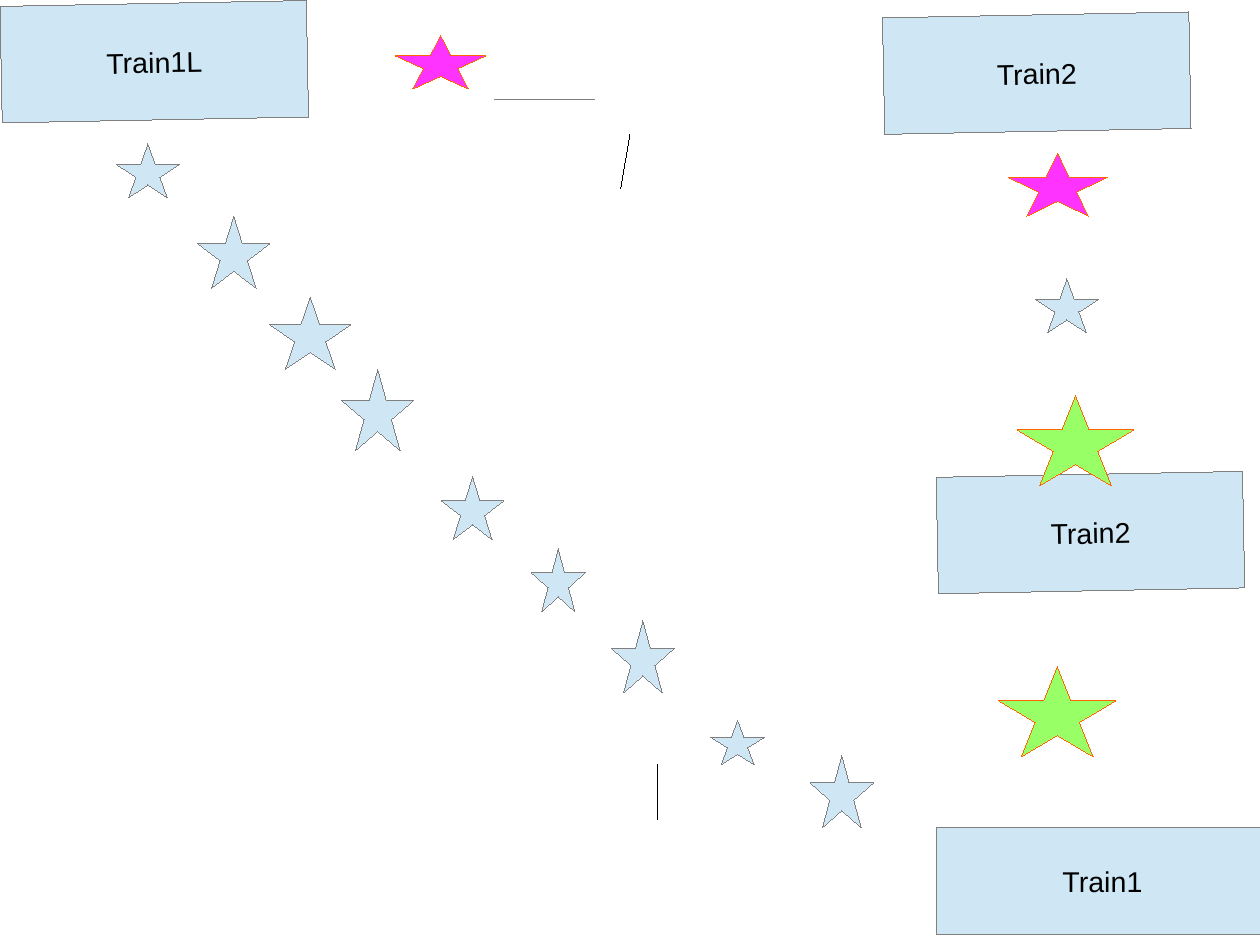
import pptx
import pptx.dml.color
import pptx.enum.shapes
import pptx.enum.text
import pptx.oxml.ns
import pptx.util
from lxml import etree

Pt = pptx.util.Pt
RGBColor = pptx.dml.color.RGBColor
MSO_SHAPE = pptx.enum.shapes.MSO_SHAPE

BLUE = RGBColor(0xCF, 0xE7, 0xF5)
GRAY = RGBColor(0x80, 0x80, 0x80)
MAGENTA = RGBColor(0xFF, 0x33, 0xFF)
GREEN = RGBColor(0x99, 0xFF, 0x66)
ORANGE = RGBColor(0xFF, 0x66, 0x00)
BLACK = RGBColor(0, 0, 0)
HAIRLINE = Pt(0.01)

# Content: label, left, top, width, height, rotation
TRAINS = [
    ("Train1", 589.7, 521.3, 209.5, 67.7, 0),
    ("Train1L", 0.7, 2.2, 193, 73.4, 358.9),
    ("Train2", 556.6, 9.4, 193, 73.4, 358.9),
    ("Train2", 590.4, 298.8, 193, 73.4, 358.9),
]

# Star groups: fill, outline, boxes as left, top, width, height
STARS = [
    (BLUE, GRAY, [
        (73.4, 90.7, 39.6, 33.8),
        (124.6, 136.1, 45.4, 45.4),
        (169.9, 187.2, 51.1, 45.4),
        (215.3, 232.6, 45.4, 51.1),
        (277.9, 300.2, 39.6, 39.6),
        (334.8, 345.6, 33.8, 39.6),
        (385.2, 391, 39.6, 45.4),
        (447.8, 453.6, 33.8, 28.1),
        (510.5, 475.9, 39.6, 45.4),
        (311.8, 62.6, 62.6, 0),
        (652.3, 175.7, 39.6, 33.8),
    ]),
    (MAGENTA, ORANGE, [
        (249.1, 22.3, 56.9, 33.8),
        (635, 96.5, 62.6, 39.6),
    ]),
    (GREEN, ORANGE, [
        (640.8, 249.1, 73.4, 56.9),
        (629.3, 419.8, 73.4, 56.9),
    ]),
]

# Track marks: start x, start y, end x, end y
MARKS = [(396.7, 85, 391, 118.8), (414, 481.7, 414, 516.2)]

prs = pptx.Presentation()
prs.slide_width, prs.slide_height = Pt(793.7), Pt(595.28)
s = prs.slides.add_slide(prs.slide_layouts[6])


def add_figure(kind, box, fill, outline):
    sp = s.shapes.add_shape(kind, *map(Pt, box))
    sp.shadow.inherit = False
    sp.fill.solid()
    sp.fill.fore_color.rgb = fill
    sp.line.color.rgb = outline
    sp.line.width = HAIRLINE
    return sp


# Trains
for label, *box, rotation in TRAINS:
    sp = add_figure(MSO_SHAPE.RECTANGLE, box, BLUE, GRAY)
    sp.rotation = rotation
    tf = sp.text_frame
    tf.text = label
    tf.vertical_anchor = pptx.enum.text.MSO_ANCHOR.MIDDLE
    p = tf.paragraphs[0]
    p.alignment = pptx.enum.text.PP_ALIGN.CENTER
    r = p.runs[0]
    r.font.name = "Arial"
    r.font.size = Pt(18)
    r.font.color.rgb = BLACK

# Track marks
for mark in MARKS:
    line = s.shapes.add_connector(
        pptx.enum.shapes.MSO_CONNECTOR.STRAIGHT, *map(Pt, mark))
    line.line.color.rgb = BLACK
    line.line.width = HAIRLINE
    etree.SubElement(line._element.spPr, pptx.oxml.ns.qn("a:effectLst"))

# Stars
for fill, outline, boxes in STARS:
    for box in boxes:
        add_figure(MSO_SHAPE.STAR_5_POINT, box, fill, outline)

prs.save("out.pptx")
